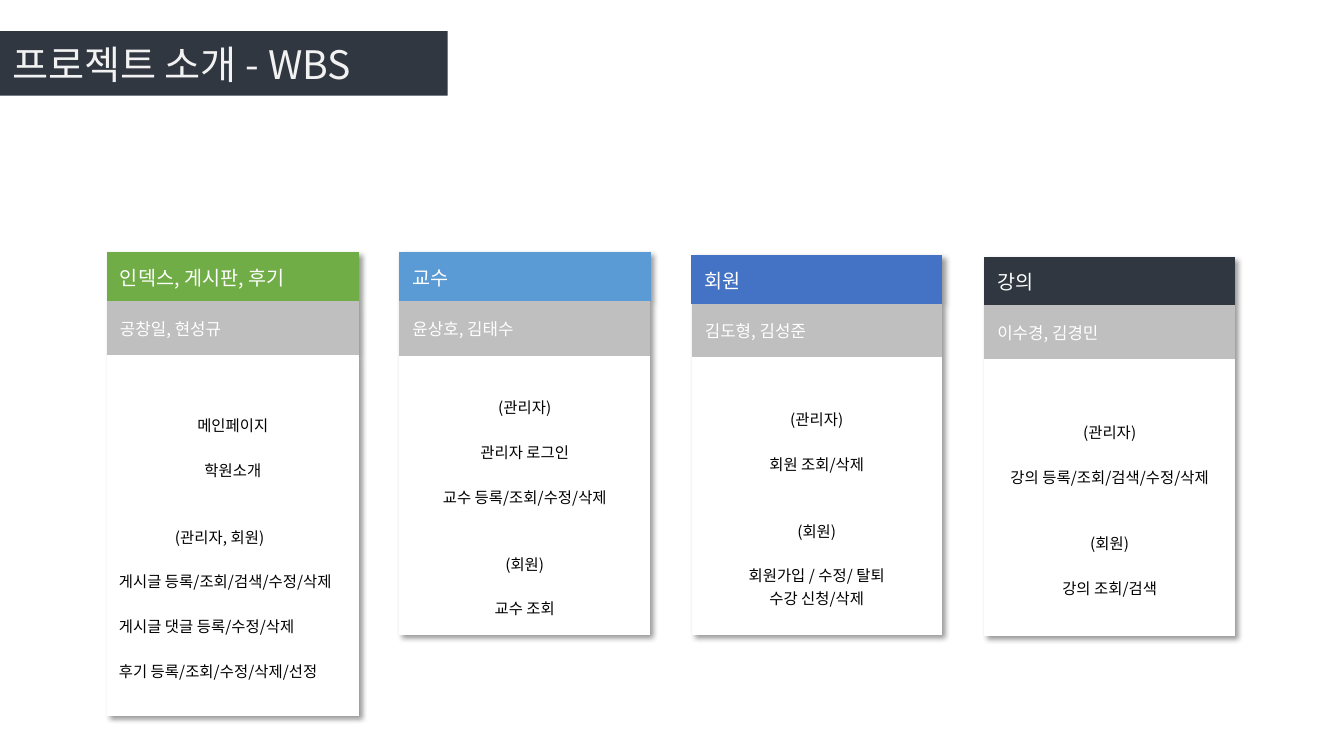
from pptx import Presentation
from pptx.dml.color import RGBColor
from pptx.enum.text import MSO_ANCHOR, MSO_AUTO_SIZE, PP_ALIGN
from pptx.oxml import parse_xml
from pptx.oxml.ns import nsdecls, qn
from pptx.util import Pt

LEFT, CENTER = PP_ALIGN.LEFT, PP_ALIGN.CENTER
MIDDLE = MSO_ANCHOR.MIDDLE
NO_AUTOFIT = MSO_AUTO_SIZE.NONE

FONT = "Noto Sans CJK KR"
DARK, WHITE, GREY, BLACK = "303740", "FFFFFF", "BFBFBF", "000000"
PLAIN_TABLE_STYLE = "{2D5ABB26-0587-4C30-8999-92F81FD0307C}"
LINE = 15.93  # height of one 11 pt line
FIRST_LEFT, CARD_STEP = 76.3, 208.9
ROLE_INDENT = 40

HEADING_MARGINS = {"margin_left": Pt(9.4), "margin_right": Pt(9.4),
                   "margin_top": 0, "margin_bottom": 0}
TASK_MARGINS = {"margin_left": Pt(8.64), "margin_right": Pt(8.64),
                "margin_top": Pt(26), "margin_bottom": Pt(8.64)}
TITLE_FORMAT = {"margin_left": Pt(8.64), "margin_right": Pt(7.2),
                "margin_top": Pt(3.6), "margin_bottom": Pt(3.6),
                "word_wrap": True, "auto_size": NO_AUTOFIT,
                "vertical_anchor": MIDDLE}

# Each task: text, empty lines above, alignment, left indent
CARDS = [
    {"area": "인덱스, 게시판, 후기", "members": "공창일, 현성규", "color": "70AD47",
     "top": 180, "width": 180, "rows": (35.3, 38.2, 200.2), "edged": False,
     "tasks": [("메인페이지", 0, CENTER, 0), ("학원소개", 1, CENTER, 0),
               ("(관리자, 회원)", 2, LEFT, ROLE_INDENT),
               ("게시글 등록/조회/검색/수정/삭제", 1, LEFT, 0),
               ("게시글 댓글 등록/수정/삭제", 1, LEFT, 0),
               ("후기 등록/조회/수정/삭제/선정", 1, LEFT, 0)]},
    {"area": "교수", "members": "윤상호, 김태수", "color": "5B9BD5",
     "top": 180, "width": 179.3, "rows": (35.3, 38.9, 199.4), "edged": True,
     "tasks": [("(관리자)", 0, CENTER, 0), ("관리자 로그인", 1, CENTER, 0),
               ("교수 등록/조회/수정/삭제", 1, CENTER, 0),
               ("(회원)", 2, CENTER, 0), ("교수 조회", 1, CENTER, 0)]},
    {"area": "회원", "members": "김도형, 김성준", "color": "4472C4",
     "top": 182.5, "width": 178.6, "rows": (34.6, 38.2, 198), "edged": True,
     "tasks": [("(관리자)", 0, CENTER, 0), ("회원 조회/삭제", 1, CENTER, 0),
               ("(회원)", 2, CENTER, 0), ("회원가입 / 수정/ 탈퇴", 1, CENTER, 0),
               ("수강 신청/삭제", 0, CENTER, 0)]},
    {"area": "강의", "members": "이수경, 김경민", "color": DARK,
     "top": 183.6, "width": 179.3, "rows": (34.6, 38.2, 198), "edged": False,
     "tasks": [("(관리자)", 0, CENTER, 0),
               ("강의 등록/조회/검색/수정/삭제", 1, CENTER, 0),
               ("(회원)", 2, CENTER, 0), ("강의 조회/검색", 1, CENTER, 0)]},
]


def rgb(color):
    return RGBColor.from_string(color)


def apply(target, values):
    for name, value in values.items():
        setattr(target, name, value)


def paint(target, color):
    target.fill.solid()
    target.fill.fore_color.rgb = rgb(color)


def write(paragraph, text, size, color, align=LEFT):
    paragraph.alignment = align
    run = paragraph.add_run()
    run.text = text
    apply(run.font, {"name": FONT, "size": Pt(size), "bold": False})
    run.font.color.rgb = rgb(color)
    run.font._element.append(
        parse_xml(f'<a:ea {nsdecls("a")} typeface="{FONT}"/>'))


def add_title(slide, left, top, width, height):
    title = slide.shapes.title
    apply(title, {"left": Pt(left), "top": Pt(top),
                  "width": Pt(width), "height": Pt(height)})
    paint(title, DARK)
    apply(title.text_frame, TITLE_FORMAT)
    write(title.text_frame.paragraphs[0], "프로젝트 소개 - WBS", 28, "F2F2F2")


def add_shadow(table):
    table_properties = table._tbl.tblPr
    table_properties.insert(0, parse_xml(
        f'<a:effectLst {nsdecls("a")}><a:outerShdw blurRad="50800" dist="38100" '
        'dir="2700000" algn="tl" rotWithShape="0"><a:srgbClr val="000000">'
        '<a:alpha val="40000"/></a:srgbClr></a:outerShdw></a:effectLst>'))
    table_properties.find(qn("a:tableStyleId")).text = PLAIN_TABLE_STYLE


def add_edges(cell, color):
    for position, side in enumerate(("lnL", "lnR", "lnT")):
        cell._tc.get_or_add_tcPr().insert(position, parse_xml(
            f'<a:{side} {nsdecls("a")} w="9525"><a:solidFill>'
            f'<a:srgbClr val="{color}"/></a:solidFill></a:{side}>'))


def add_card(slide, left, card):
    top, width, rows = card["top"], card["width"], card["rows"]
    table = slide.shapes.add_table(3, 1, Pt(left), Pt(top), Pt(width),
                                   Pt(sum(rows))).table
    apply(table, {"first_row": False, "horz_banding": False})
    add_shadow(table)
    for row, height in zip(table.rows, rows):
        row.height = Pt(height)

    # Area and members
    area, members, tasks = (table.cell(i, 0) for i in range(3))
    headings = ((area, card["area"], 14, card["color"]),
                (members, card["members"], 12, GREY))
    for cell, text, size, color in headings:
        apply(cell, {**HEADING_MARGINS, "vertical_anchor": MIDDLE})
        paint(cell, color)
        write(cell.text_frame.paragraphs[0], text, size, WHITE)
    if card["edged"]:
        add_edges(area, card["color"])

    # Tasks
    apply(tasks, {**TASK_MARGINS, "vertical_anchor": MIDDLE})
    paint(tasks, WHITE)
    frame = tasks.text_frame
    for i, (text, gap, align, indent) in enumerate(card["tasks"]):
        paragraph = frame.add_paragraph() if i else frame.paragraphs[0]
        write(paragraph, text, 11, BLACK, align)
        paragraph.space_before = Pt(gap * LINE)
        if indent:
            paragraph._p.get_or_add_pPr().set("marL", str(Pt(indent)))


def main():
    deck = Presentation()
    deck.slide_width, deck.slide_height = Pt(960), Pt(540)
    slide = deck.slides.add_slide(deck.slide_layouts[5])
    add_title(slide, 0, 22.3, 319.7, 46.1)
    for i, card in enumerate(CARDS):
        add_card(slide, FIRST_LEFT + i * CARD_STEP, card)
    deck.save("out.pptx")


if __name__ == "__main__":
    main()
